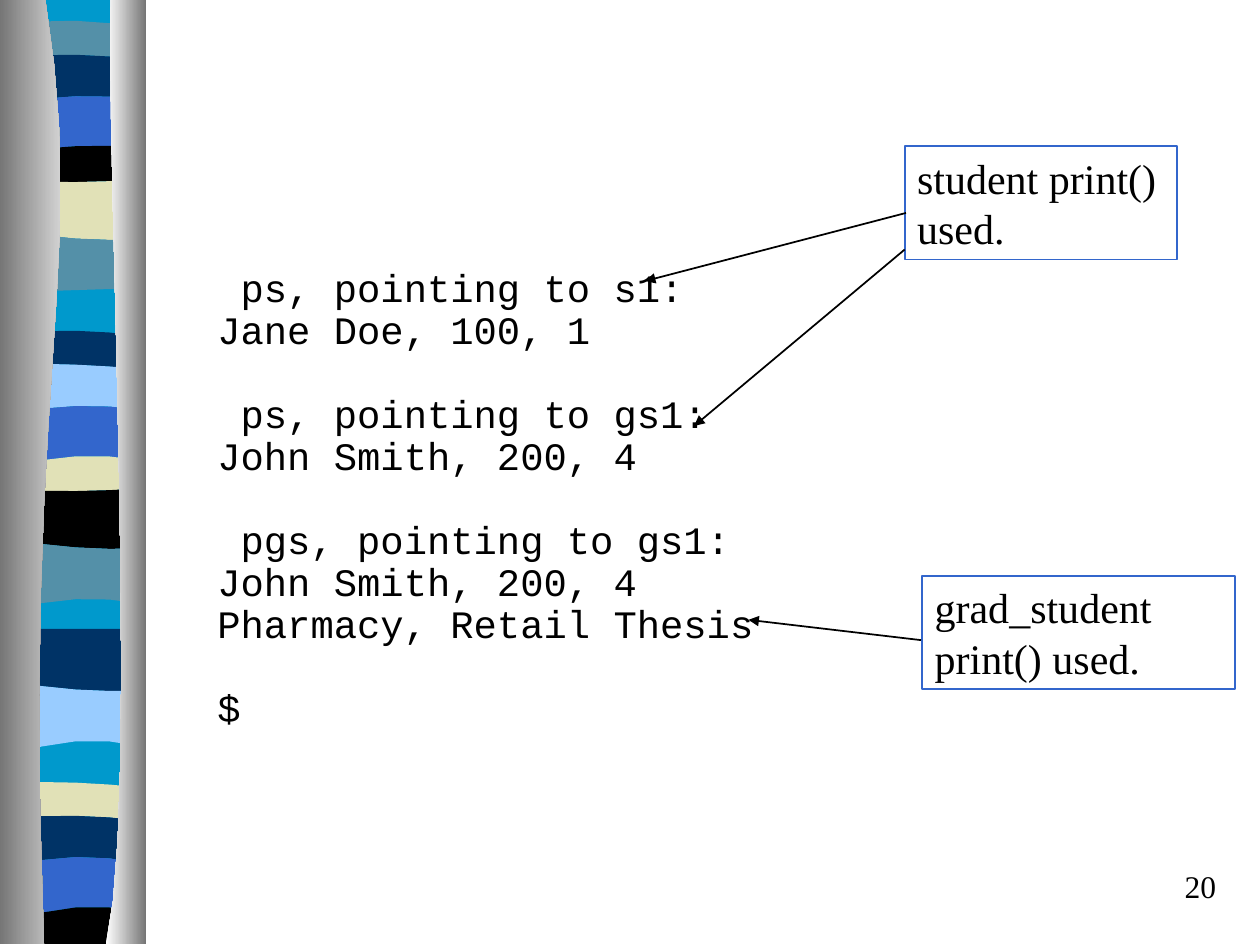
from dataclasses import dataclass
from itertools import pairwise

from lxml import etree
from pptx import Presentation
from pptx.dml.color import RGBColor
from pptx.enum.shapes import MSO_CONNECTOR, MSO_SHAPE
from pptx.enum.text import MSO_ANCHOR, MSO_AUTO_SIZE, PP_ALIGN
from pptx.oxml.ns import qn
from pptx.util import Pt

RECTANGLE = MSO_SHAPE.RECTANGLE
STRAIGHT = MSO_CONNECTOR.STRAIGHT
LEFT, RIGHT = PP_ALIGN.LEFT, PP_ALIGN.RIGHT
TOP = MSO_ANCHOR.TOP
FIXED, GROW = MSO_AUTO_SIZE.NONE, MSO_AUTO_SIZE.SHAPE_TO_FIT_TEXT

Point = tuple[float, float]


@dataclass(frozen=True)
class Theme:
    cyan: str = "0099CC"
    steel: str = "5490A8"
    navy: str = "003366"
    blue: str = "3366CC"
    sky: str = "99CCFF"
    sand: str = "E1E1B7"
    black: str = "000000"
    white: str = "FFFFFF"
    dark_gray: str = "767676"
    light_gray: str = "D2D2D2"
    code_font: str = "Courier New"
    text_font: str = "Times New Roman"
    code_size: float = 22.2
    callout_size: float = 24
    number_size: float = 18


@dataclass(frozen=True)
class Band:
    """A ribbon stripe; its top edge passes three heights, left to right."""
    color: str
    left: float
    middle: float
    right: float


@dataclass(frozen=True)
class Callout:
    text: str
    left: float
    top: float
    width: float
    height: float


THEME = Theme()
RIBBON_LEFT, RIBBON_RIGHT = 4.3, 82.1
SLIDE_WIDTH, SLIDE_HEIGHT = 720, 540
EDGE_CENTER, EDGE_REACH = 47, 19

BANDS = [
    Band(THEME.steel, 12, 12, 13.7),
    Band(THEME.navy, 31.4, 31.4, 32.6),
    Band(THEME.blue, 56, 54.9, 55.4),
    Band(THEME.black, 84.6, 83.4, 83.4),
    Band(THEME.sand, 104, 104, 103.4),
    Band(THEME.steel, 134.9, 136.6, 137.1),
    Band(THEME.cyan, 166.3, 165.7, 165.1),
    Band(THEME.navy, 189.1, 189.1, 190.3),
    Band(THEME.sky, 208, 208.6, 209.7),
    Band(THEME.blue, 233.1, 232, 232.6),
    Band(THEME.sand, 262.3, 260.6, 261.1),
    Band(THEME.black, 280.6, 280.6, 280),
    Band(THEME.steel, 311.4, 313.1, 313.7),
    Band(THEME.cyan, 344, 342.3, 342.9),
    Band(THEME.navy, 359.4, 359.4, 359.4),
    Band(THEME.sky, 392.6, 394.3, 394.9),
    Band(THEME.cyan, 425.7, 423.4, 424),
    Band(THEME.sand, 446.9, 447.4, 448.6),
    Band(THEME.navy, 466.3, 466.3, 467.4),
    Band(THEME.blue, 490.9, 489.7, 490.9),
    Band(THEME.black, 520.6, 518.3, 518.9),
    Band(THEME.cyan, 539.3, 539.3, 539.3),
]

CALLOUTS = [
    Callout("student print() used.", 517, 83.5, 155.5, 64.8),
    Callout("grad_student print() used.", 527, 329, 178.6, 64.8),
]

ARROWS: list[tuple[Point, Point]] = [
    ((517.7, 121.7), (368.6, 160.6)),
    ((517, 142.6), (396.7, 243.4)),
    ((526.3, 365.8), (427.7, 354.2)),
]

OUTPUT_BLOCKS = [
    " ps, pointing to s1:\vJane Doe, 100, 1",
    " ps, pointing to gs1:\vJohn Smith, 200, 4",
    " pgs, pointing to gs1:\vJohn Smith, 200, 4\vPharmacy, Retail Thesis",
    "$",
]


def rgb(color: str) -> RGBColor:
    return RGBColor.from_string(color)


def style_font(font, name: str, size: float) -> None:
    font.name = name
    font.size = Pt(size)
    font.color.rgb = rgb(THEME.black)


def edge_points(band: Band, steps: int = 4) -> list[Point]:
    """Sample the parabola through the band's three heights."""
    slope = (band.right - band.left) / 2
    bend = (band.right + band.left) / 2 - band.middle
    points = []
    for step in range(steps + 1):
        x = RIBBON_LEFT + (RIBBON_RIGHT - RIBBON_LEFT) * step / steps
        offset = (x - EDGE_CENTER) / EDGE_REACH
        points.append((x, band.middle + slope * offset + bend * offset**2))
    return points


def bezier_points(start: Point, first: Point, second: Point, end: Point,
                  steps: int = 12) -> list[Point]:
    points = []
    for step in range(steps + 1):
        t = step / steps
        weights = ((1 - t)**3, 3 * t * (1 - t)**2, 3 * t**2 * (1 - t), t**3)
        controls = (start, first, second, end)
        points.append((sum(w * c[0] for w, c in zip(weights, controls)),
                       sum(w * c[1] for w, c in zip(weights, controls))))
    return points


def add_outline(ribbon, points: list[Point]):
    vertices = [(Pt(x), Pt(y)) for x, y in points]
    builder = ribbon.shapes.build_freeform(*vertices[0])
    builder.add_line_segments(vertices[1:], close=True)
    shape = builder.convert_to_shape()
    shape.shadow.inherit = False
    shape.line.fill.background()
    return shape


def add_band(ribbon, points: list[Point], color: str) -> None:
    shape = add_outline(ribbon, points)
    shape.fill.solid()
    shape.fill.fore_color.rgb = rgb(color)


def add_cover(ribbon, points: list[Point], colors: tuple[str, str]) -> None:
    """Add a gray sheet, shaded left to right, that trims the ribbon."""
    shape = add_outline(ribbon, points)
    shape.fill.gradient()
    shape.fill.gradient_angle = 0
    for stop, color in zip(shape.fill.gradient_stops, colors):
        stop.color.rgb = rgb(color)


def add_ribbon(page) -> None:
    ribbon = page.shapes.add_group_shape()
    base = [(RIBBON_LEFT, 0), (RIBBON_RIGHT, 0),
            (RIBBON_RIGHT, 539.3), (RIBBON_LEFT, 539.3)]
    add_band(ribbon, base, THEME.cyan)
    for band, following in pairwise(BANDS):
        if band.color != THEME.cyan:
            outline = edge_points(band) + edge_points(following)[::-1]
            add_band(ribbon, outline, band.color)
    left_curve = bezier_points((26, 0), (51, 155.5), (12.2, 213), (25.2, 539.3))
    add_cover(ribbon, left_curve + [(0, 539.3), (0, 0)],
              (THEME.dark_gray, THEME.light_gray))
    right_curve = bezier_points((63.2, 0), (60.5, 90), (80, 465), (60.5, 539.3))
    add_cover(ribbon, right_curve + [(83.5, 539.3), (83.5, 0)],
              (THEME.white, THEME.dark_gray))


def fill_program_output(body) -> None:
    body.left, body.top, body.width, body.height = Pt(90), Pt(150), Pt(612), Pt(324)
    frame = body.text_frame
    frame.auto_size = FIXED
    frame.vertical_anchor = TOP
    frame.text = "\n".join(OUTPUT_BLOCKS)
    for index, para in enumerate(frame.paragraphs):
        properties = para._p.get_or_add_pPr()
        properties.set("marL", str(Pt(27)))
        properties.set("indent", "0")
        etree.SubElement(properties, qn("a:buNone"))
        para.line_spacing = 0.9
        para.space_before = Pt(24 if index else 0)
        for span in para.runs:
            style_font(span.font, THEME.code_font, THEME.code_size)


def add_callout(page, callout: Callout) -> None:
    box = page.shapes.add_shape(RECTANGLE, Pt(callout.left), Pt(callout.top),
                                Pt(callout.width), Pt(callout.height))
    box.shadow.inherit = False
    box.fill.solid()
    box.fill.fore_color.rgb = rgb(THEME.white)
    box.line.color.rgb = rgb(THEME.blue)
    box.line.width = Pt(1)
    frame = box.text_frame
    frame.word_wrap = True
    frame.auto_size = GROW
    frame.vertical_anchor = TOP
    frame.text = callout.text
    para = frame.paragraphs[0]
    para.alignment = LEFT
    style_font(para.runs[0].font, THEME.text_font, THEME.callout_size)


def add_arrow(page, start: Point, end: Point) -> None:
    arrow = page.shapes.add_connector(STRAIGHT, *map(Pt, start + end))
    arrow.line.color.rgb = rgb(THEME.black)
    arrow.line.width = Pt(1)
    etree.SubElement(arrow.line._get_or_add_ln(), qn("a:tailEnd"), type="triangle")
    etree.SubElement(arrow._element.spPr, qn("a:effectLst"))


def add_page_number(page) -> None:
    box = page.shapes.add_textbox(Pt(552), Pt(492), Pt(150), Pt(36))
    box.text_frame.word_wrap = True
    box.text_frame.text = "20"
    para = box.text_frame.paragraphs[0]
    para.alignment = RIGHT
    style_font(para.runs[0].font, THEME.text_font, THEME.number_size)


def main() -> None:
    deck = Presentation()
    deck.slide_width, deck.slide_height = Pt(SLIDE_WIDTH), Pt(SLIDE_HEIGHT)
    page = deck.slides.add_slide(deck.slide_layouts[1])
    title = page.shapes.title._element
    title.getparent().remove(title)
    add_ribbon(page)
    add_page_number(page)
    fill_program_output(page.placeholders[1])
    for callout in CALLOUTS:
        add_callout(page, callout)
    for start, end in ARROWS:
        add_arrow(page, start, end)
    deck.save("out.pptx")


if __name__ == "__main__":
    main()
